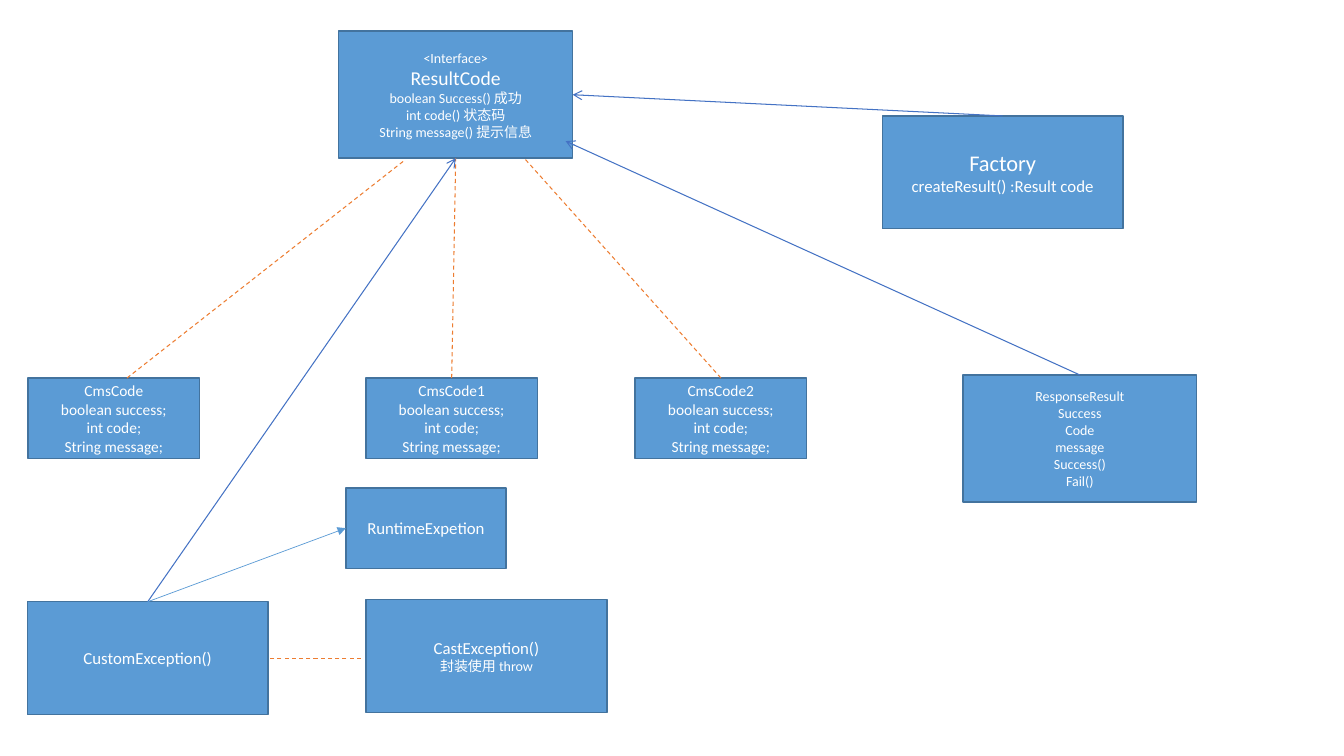
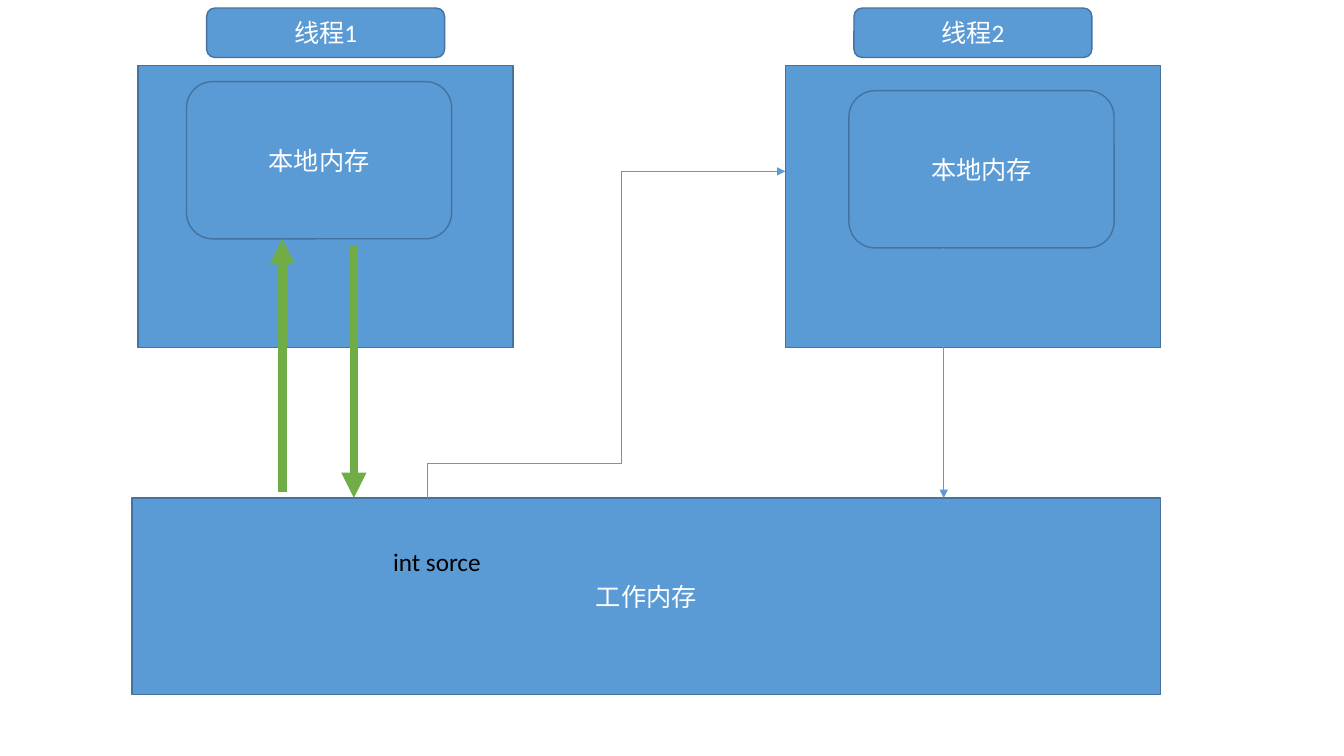
"""Build a result-code class diagram and a thread-memory diagram."""
from dataclasses import dataclass
from itertools import pairwise

from lxml import etree
from pptx import Presentation
from pptx.dml.color import RGBColor
from pptx.enum.dml import MSO_LINE_DASH_STYLE as DASH
from pptx.enum.shapes import MSO_CONNECTOR, MSO_SHAPE
from pptx.enum.text import MSO_ANCHOR, MSO_AUTO_SIZE, PP_ALIGN
from pptx.oxml.ns import qn
from pptx.util import Inches, Pt


@dataclass(frozen=True)
class Theme:
    font: str = "Calibri"
    fill: str = "5B9BD5"
    edge: str = "43739E"
    light: str = "FFFFFF"
    dark: str = "000000"
    edge_width: float = 1
    tiny: int = 10
    small: int = 11
    body: int = 12
    name: int = 14
    head: int = 16
    large: int = 18


T = Theme()
TOP, LEFT, BOTTOM, RIGHT = range(4)
LINKS = {
    "implements": dict(color="ED7D31", width=0.75, dash=True),
    "uses": dict(color="4472C4", width=0.75, head="arrow"),
    "flow": dict(color=T.fill, width=0.5, head="triangle"),
    "wire": dict(color=T.fill, width=0.5),
    "transfer": dict(color="70AD47", width=6, head="triangle"),
}

TALL, WIDE, CODE, SLIM = (2.32, 1.26), (2.39, 1.12), (1.7, 0.8), (1.59, 0.8)
FIELDS = ["boolean success;", "int code;", "String message;"]
CODE_ROW = 3.75
CODE_COLUMNS = {"CmsCode": 0.28, "CmsCode1": 3.63, "CmsCode2": 6.3}


def lines(size, *texts):
    return [(text, size) for text in texts]


CLASSES = {
    "ResultCode": ((3.36, 0.31), TALL, [
        ("<Interface>", T.tiny),
        ("ResultCode", T.name),
        *lines(T.tiny, "boolean Success() 成功", "int code() 状态码",
               "String message() 提示信息")]),
    "Factory": ((8.75, 1.15), WIDE, [
        ("Factory", T.head), ("createResult() :Result code", T.body)]),
    **{name: ((x, CODE_ROW), CODE, lines(T.small, name, *FIELDS))
       for name, x in CODE_COLUMNS.items()},
    "CustomException": ((0.27, 5.97), WIDE, lines(T.body, "CustomException()")),
    "RuntimeExpetion": ((3.43, 4.84), SLIM, lines(T.body, "RuntimeExpetion")),
    "CastException": ((3.63, 5.95), WIDE, [
        ("CastException()", T.body), ("封装使用 throw", T.tiny)]),
    "ResponseResult": ((9.55, 3.72), TALL, lines(
        T.tiny, "ResponseResult", "Success", "Code", "message", "Success()", "Fail()")),
}
RELATIONS = [
    ((1.26, CODE_ROW), (4, 1.6), "implements"),
    (("CmsCode1", TOP), ("ResultCode", BOTTOM), "implements"),
    (("CmsCode2", TOP), (5.2, 1.57), "implements"),
    (("Factory", TOP), ("ResultCode", RIGHT), "uses"),
    (("CustomException", TOP), ("ResultCode", BOTTOM), "uses"),
    (("CustomException", TOP), ("RuntimeExpetion", LEFT), "flow"),
    ((3.58, 6.53), ("CustomException", RIGHT), "implements"),
    (("ResponseResult", TOP), (5.61, 1.4), "uses"),
]

THREAD_LEFT, THREAD_STEP = 1.37, 6.42
THREADS = [("线程1", 0.48, 0.81), ("线程2", 0.63, 0.9)]
WORK_TOP = 4.94
SIGNAL = [(4.24, WORK_TOP), (4.24, 4.6), (6.16, 4.6), (6.16, 1.7), (7.79, 1.7)]
TRANSFERS = [
    ((9.36, 2.46), (9.36, WORK_TOP), "flow"),
    ((2.8, 4.88), (2.8, 2.37), "transfer"),
    ((3.51, 2.43), (3.51, WORK_TOP), "transfer"),
]


def write(tf, content, *, color=T.light, align=PP_ALIGN.CENTER):
    for i, (text, size) in enumerate(content):
        p = tf.paragraphs[0] if i == 0 else tf.add_paragraph()
        p.alignment = align
        r = p.add_run()
        r.text = text
        r.font.name, r.font.size = T.font, Pt(size)
        r.font.color.rgb = RGBColor.from_string(color)


def box(s, pos, size, content=(), shape=MSO_SHAPE.RECTANGLE):
    sp = s.shapes.add_shape(shape, *map(Inches, pos + size))
    sp.shadow.inherit = False
    sp.fill.solid()
    sp.fill.fore_color.rgb = RGBColor.from_string(T.fill)
    sp.line.color.rgb = RGBColor.from_string(T.edge)
    sp.line.width = Pt(T.edge_width)
    sp.text_frame.vertical_anchor = MSO_ANCHOR.MIDDLE
    write(sp.text_frame, content)
    return sp


def link(s, start, end, *, color, width, dash=False, head=None, boxes=None):
    joined = [isinstance(point[0], str) for point in (start, end)]
    points = [(0, 0) if j else point for j, point in zip(joined, (start, end))]
    cx = s.shapes.add_connector(
        MSO_CONNECTOR.STRAIGHT, *map(Inches, points[0] + points[1]))
    if joined[0]:
        cx.begin_connect(boxes[start[0]], start[1])
    if joined[1]:
        cx.end_connect(boxes[end[0]], end[1])
    cx.line.color.rgb = RGBColor.from_string(color)
    cx.line.width = Pt(width)
    if dash:
        cx.line.dash_style = DASH.DASH
    if head:
        etree.SubElement(cx.line._get_or_add_ln(), qn("a:tailEnd"), type=head)
    etree.SubElement(cx._element.spPr, qn("a:effectLst"))


def class_slide(s):
    boxes = {name: box(s, *spec) for name, spec in CLASSES.items()}
    for start, end, kind in RELATIONS:
        link(s, start, end, boxes=boxes, **LINKS[kind])


def memory_slide(s):
    rounded = MSO_SHAPE.ROUNDED_RECTANGLE
    for i, (name, inset, local_top) in enumerate(THREADS):
        left = THREAD_LEFT + i * THREAD_STEP
        box(s, (left, 0.65), (3.72, 2.8))
        box(s, (left + inset, local_top), (2.63, 1.56),
            lines(T.large, "本地内存"), rounded)
        box(s, (left + 0.68, 0.08), (2.36, 0.49), lines(T.large, name), rounded)
    box(s, (1.31, WORK_TOP), (10.2, 1.95), lines(T.large, "工作内存"))
    tf = s.shapes.add_textbox(*map(Inches, (3.8, 5.37, 1.08, 0.4))).text_frame
    tf.word_wrap = False
    tf.auto_size = MSO_AUTO_SIZE.SHAPE_TO_FIT_TEXT
    write(tf, lines(T.large, "int sorce"), color=T.dark, align=PP_ALIGN.LEFT)
    for start, end in pairwise(SIGNAL):
        link(s, start, end, **LINKS["flow" if end == SIGNAL[-1] else "wire"])
    for start, end, kind in TRANSFERS:
        link(s, start, end, **LINKS[kind])


def main():
    prs = Presentation()
    prs.slide_width, prs.slide_height = Inches(13.33), Inches(7.5)
    for build in (class_slide, memory_slide):
        build(prs.slides.add_slide(prs.slide_layouts[6]))
    prs.save("out.pptx")


if __name__ == "__main__":
    main()
